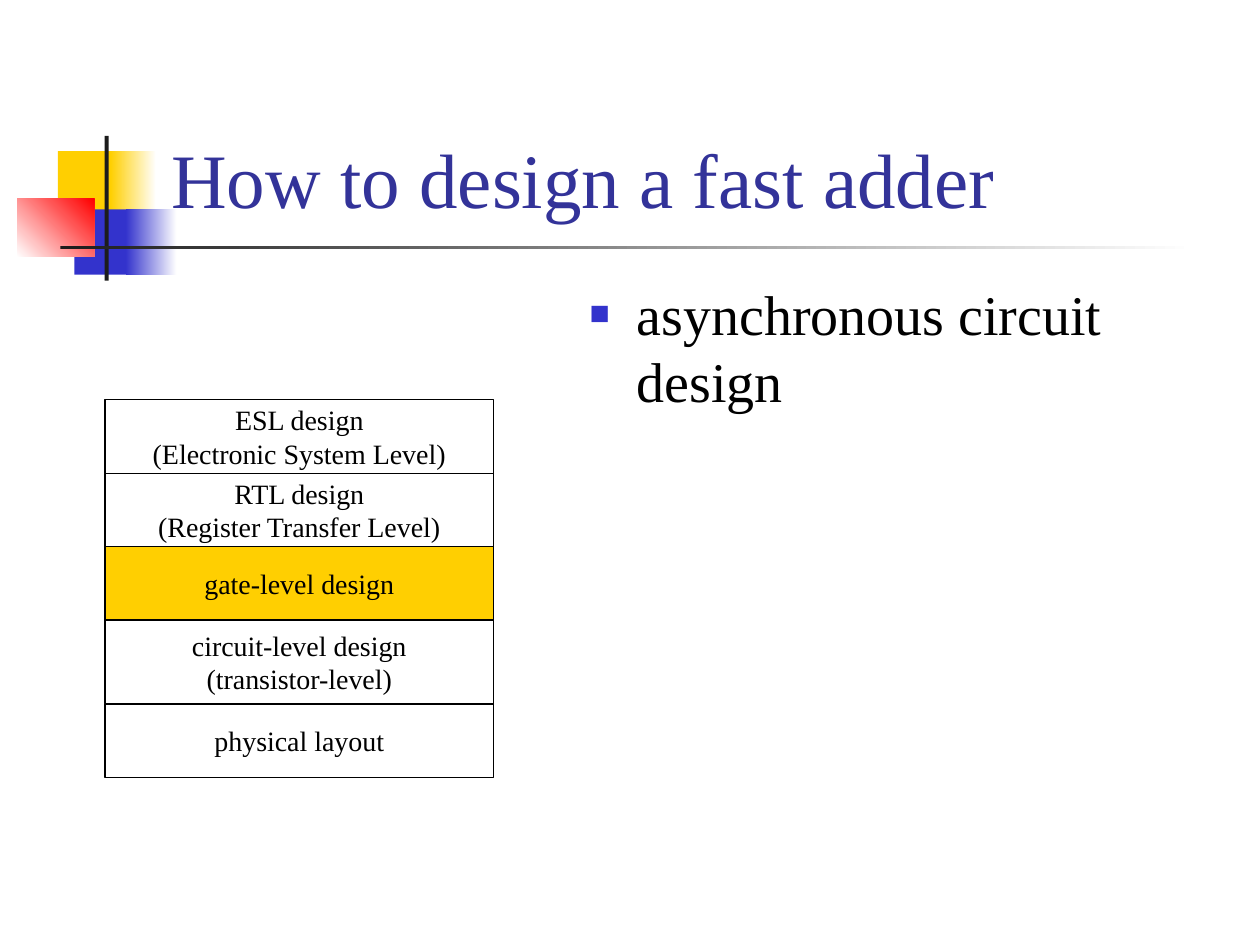
import pptx
import pptx.util
import pptx.dml.color
import pptx.enum.shapes
import pptx.enum.text
from lxml import etree

Cm, Pt = pptx.util.Cm, pptx.util.Pt
Align = pptx.enum.text.PP_ALIGN
Anchor = pptx.enum.text.MSO_ANCHOR

# Content
TITLE = "How to design a fast adder"
POINT = "asynchronous circuit design"
LEVELS = [  # text, height in cm, fill
    ("ESL design\n(Electronic System Level)", 1.48, None),
    ("RTL design\n(Register Transfer Level)", 1.48, None),
    ("gate-level design", 1.48, "gold"),
    ("circuit-level design\n(transistor-level)", 1.69, None),
    ("physical layout", 1.48, None),
]
DECOR = [  # left, top, width, height in cm, colours, angle
    (1.17, 3.05, 1.22, 1.32, ["gold"], 0),
    (2.23, 3.05, 0.92, 1.32, ["gold", "white"], 0),
    (1.5, 4.22, 1.17, 1.32, ["blue"], 0),
    (2.54, 4.22, 1.02, 1.32, ["blue", "white"], 0),
    (0.35, 4.01, 1.55, 1.17, ["white", "red"], 45),
    (2.11, 2.74, 0.08, 2.92, ["dark"], 0),
    (1.22, 4.95, 22.86, 0.08, ["dark", "white"], 0),
]

# Theme
THEME = {
    "font": "Times New Roman",
    "size": {"title": 44, "body": 32, "level": 16},
    "color": {"gold": "FFCF01", "blue": "3333CC", "red": "FF0000",
              "dark": "1C1C1C", "white": "FFFFFF", "black": "000000",
              "title": "333399"},
}


def color(name):
    return pptx.dml.color.RGBColor.from_string(THEME["color"][name])


def style(para, size, ink="black", align=Align.LEFT):
    para.alignment = align
    para.space_before = Pt(0)
    for run in para.runs:
        run.font.name = THEME["font"]
        run.font.size = Pt(THEME["size"][size])
        run.font.color.rgb = color(ink)


def place(shape, left, top, width, height):
    shape.left, shape.top = Cm(left), Cm(top)
    shape.width, shape.height = Cm(width), Cm(height)


def add_box(slide, left, top, width, height):
    box = slide.shapes.add_shape(pptx.enum.shapes.MSO_SHAPE.RECTANGLE,
                                 Cm(left), Cm(top), Cm(width), Cm(height))
    box.shadow.inherit = False
    return box


def paint(fill, names, angle):
    if len(names) == 1:
        fill.solid()
        fill.fore_color.rgb = color(names[0])
        return
    fill.gradient()
    fill.gradient_angle = angle
    for stop, name in zip(fill.gradient_stops, names):
        stop.color.rgb = color(name)


def add_bullet(para):
    props = para._p.get_or_add_pPr()
    props.set("marL", str(Cm(0.95)))
    props.set("indent", str(-Cm(0.95)))
    space = pptx.oxml.ns.qn
    tint = etree.SubElement(props, space("a:buClr"))
    etree.SubElement(tint, space("a:srgbClr"), val=THEME["color"]["blue"])
    etree.SubElement(props, space("a:buSzPct"), val="60000")
    etree.SubElement(props, space("a:buFont"), typeface=THEME["font"])
    etree.SubElement(props, space("a:buChar"), char="■")


def add_decor(slide):
    for *area, names, angle in DECOR:
        box = add_box(slide, *area)
        paint(box.fill, names, angle)
        box.line.fill.background()


def fill_texts(slide):
    title, body = slide.placeholders
    for holder, text in ((title, TITLE), (body, POINT)):
        slide.shapes.element.append(holder.element)  # in front of the decor
        holder.text_frame.text = text
        holder.text_frame.auto_size = pptx.enum.text.MSO_AUTO_SIZE.NONE
    place(title, 3.2, 0.58, 21.64, 4.06)
    title.text_frame.vertical_anchor = Anchor.BOTTOM
    style(title.text_frame.paragraphs[0], "title", "title")
    place(body, 11.63, 5.51, 13.34, 11.43)
    add_bullet(body.text_frame.paragraphs[0])
    style(body.text_frame.paragraphs[0], "body")


def add_levels(slide, left=2.12, top=8.06, width=7.83):
    for text, height, fill in LEVELS:
        box = add_box(slide, left, top, width, height)
        if fill:
            paint(box.fill, [fill], 0)
        else:
            box.fill.background()
        box.line.color.rgb = color("black")
        box.line.width = Pt(0.75)
        frame = box.text_frame
        frame.text = text
        frame.word_wrap = False
        frame.vertical_anchor = Anchor.MIDDLE
        for para in frame.paragraphs:
            style(para, "level", align=Align.CENTER)
        top += height


def main():
    deck = pptx.Presentation()
    deck.slide_width, deck.slide_height = Cm(25.4), Cm(19.05)
    slide = deck.slides.add_slide(deck.slide_layouts[1])
    add_decor(slide)
    fill_texts(slide)
    add_levels(slide)
    deck.save("out.pptx")


if __name__ == "__main__":
    main()
